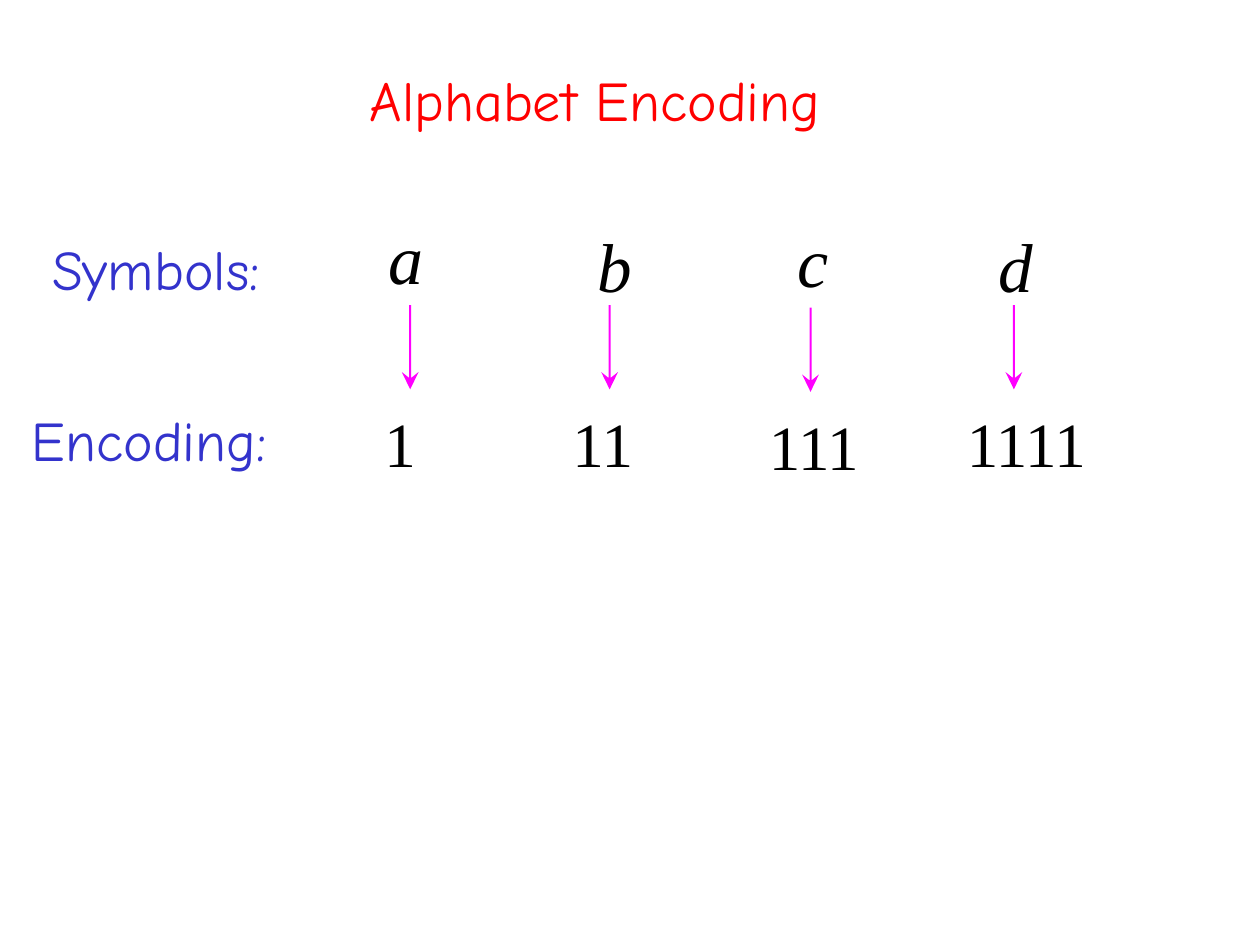
from pptx import Presentation
from pptx.dml.color import RGBColor
from pptx.enum.text import MSO_ANCHOR, MSO_AUTO_SIZE, PP_ALIGN
from pptx.util import Cm, Pt

RED = RGBColor(0xFF, 0x00, 0x00)
BLUE = RGBColor(0x33, 0x33, 0xCC)
BLACK = RGBColor(0x00, 0x00, 0x00)
PINK = RGBColor(0xFF, 0x00, 0xFF)
HAND, SERIF = "Comic Neue", "Times New Roman"

# Content; lengths in cm
TITLE = "Alphabet Encoding"
LABELS = [  # text, left, top, width
    ("Symbols:", 1.02, 4.7, 4.83),
    ("Encoding:", 0.61, 8.15, 5.11),
]
SYMBOLS = [  # letter, left, top, size
    ("a", 7.8, 4.29, 40),
    ("b", 12.01, 4.47, 39.5),
    ("c", 16.05, 4.35, 40),
    ("d", 20.09, 4.47, 39.5),
]
CODES = [  # code, left, top
    ("1", 7.72, 8.12),
    ("11", 11.51, 8.12),
    ("111", 15.47, 8.18),
    ("1111", 19.46, 8.12),
]
ARROWS = [(8.27, 6.15), (12.29, 6.15), (16.34, 6.2), (20.44, 6.15)]
DIGIT = 0.66  # width of one digit

# Right half of an arrow, from the top of the stem to the tip
HALF = [(0.02, 0), (0.02, 1.47), (0.17, 1.35), (0, 1.7)]
ARROW = HALF + [(-x, y) for x, y in HALF[-2::-1]]


def write(shape, text, font, size, color, slant=False):
    frame = shape.text_frame
    frame.word_wrap = True
    frame.auto_size = MSO_AUTO_SIZE.NONE
    frame.vertical_anchor = MSO_ANCHOR.TOP
    frame.margin_left = frame.margin_top = Cm(0.03)
    frame.margin_right = frame.margin_bottom = 0
    frame.text = text
    para = frame.paragraphs[0]
    para.alignment = PP_ALIGN.LEFT
    para.font.name = font
    para.font.size = Pt(size)
    para.font.italic = slant
    para.font.color.rgb = color


def add_text(slide, box, *style):
    write(slide.shapes.add_textbox(*map(Cm, box)), *style)


def add_arrow(slide, left, top):
    spots = [(Cm(left + x), Cm(top + y)) for x, y in ARROW]
    pen = slide.shapes.build_freeform(*spots[0])
    pen.add_line_segments(spots[1:], close=True)
    arrow = pen.convert_to_shape()
    arrow.shadow.inherit = False
    arrow.fill.solid()
    arrow.fill.fore_color.rgb = PINK
    arrow.line.fill.background()


def main():
    deck = Presentation()
    deck.slide_width, deck.slide_height = Cm(25.4), Cm(19.05)
    slide = deck.slides.add_slide(deck.slide_layouts[5])

    # Title
    title = slide.shapes.title
    title.left, title.top = Cm(7.42), Cm(1.3)
    title.width, title.height = Cm(9.91), Cm(1.45)
    write(title, TITLE, HAND, 32, RED)

    # Row labels
    for text, left, top, width in LABELS:
        add_text(slide, (left, top, width, 1.45), text, HAND, 32, BLUE)

    # Symbols, codes and the arrows between them
    for text, left, top, size in SYMBOLS:
        add_text(slide, (left, top, 0.8, 1.77), text, SERIF, size, BLACK, True)
    for text, left, top in CODES:
        box = (left, top, DIGIT * len(text), 1.6)
        add_text(slide, box, text, SERIF, 36, BLACK)
    for left, top in ARROWS:
        add_arrow(slide, left, top)

    deck.save("out.pptx")


if __name__ == "__main__":
    main()
